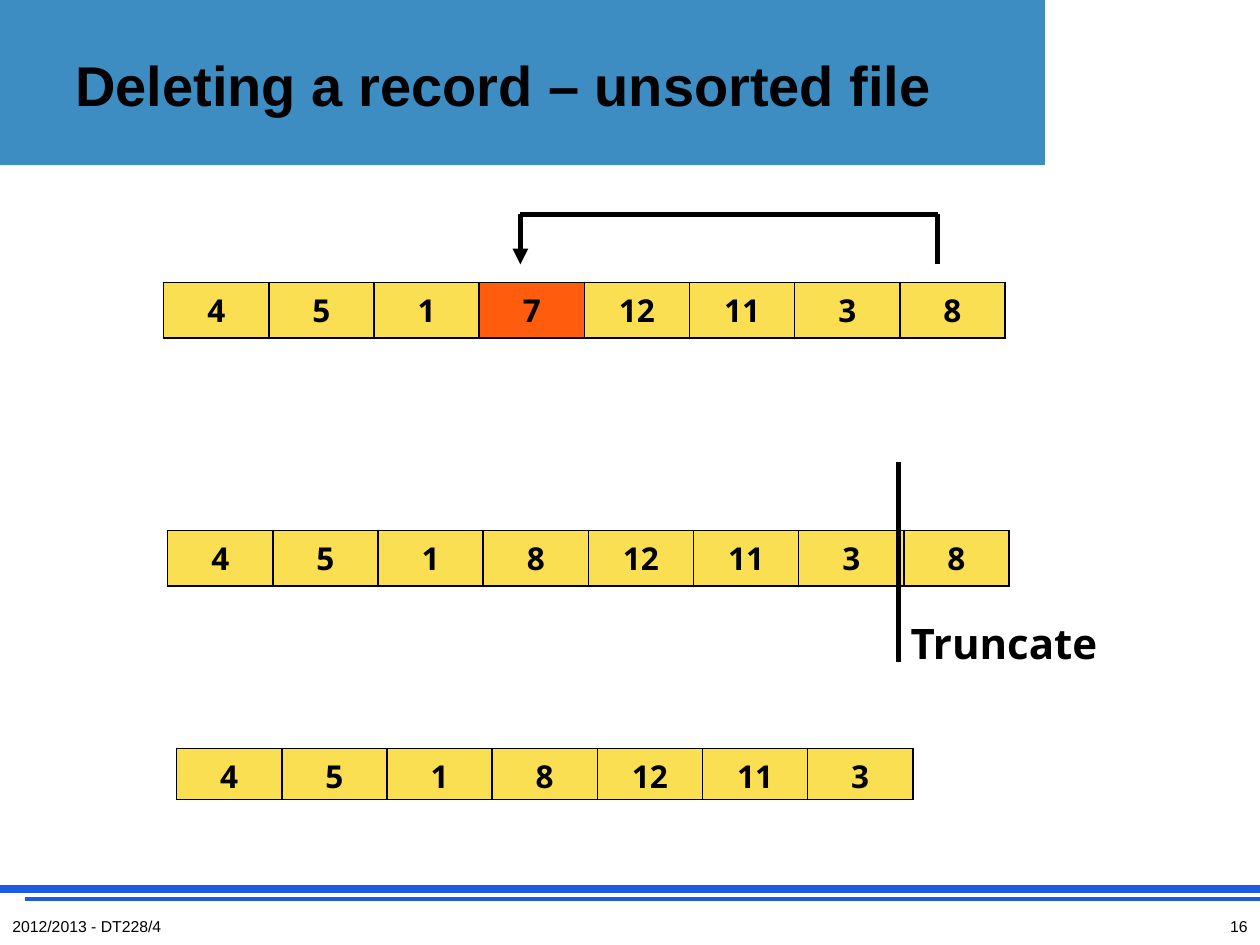
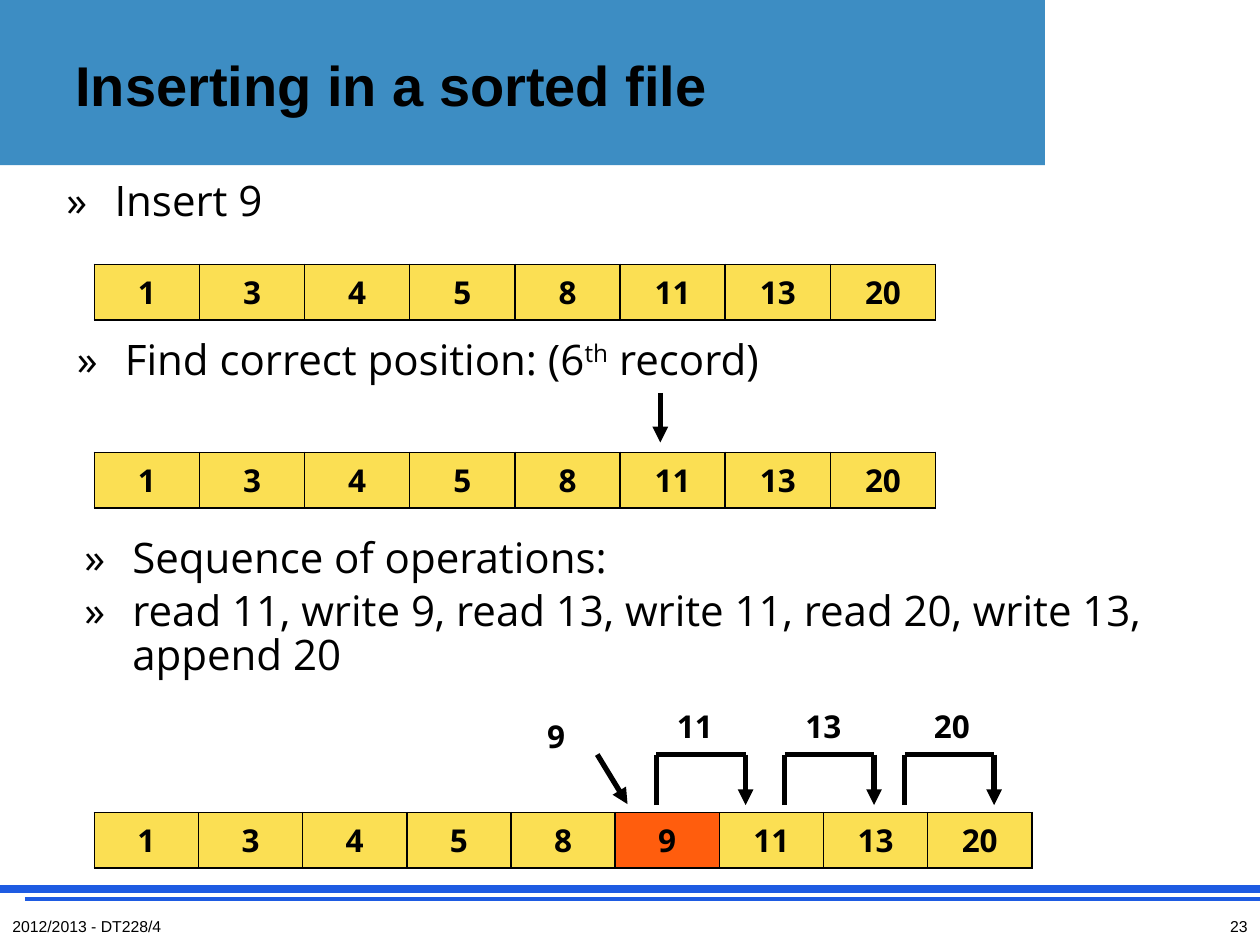
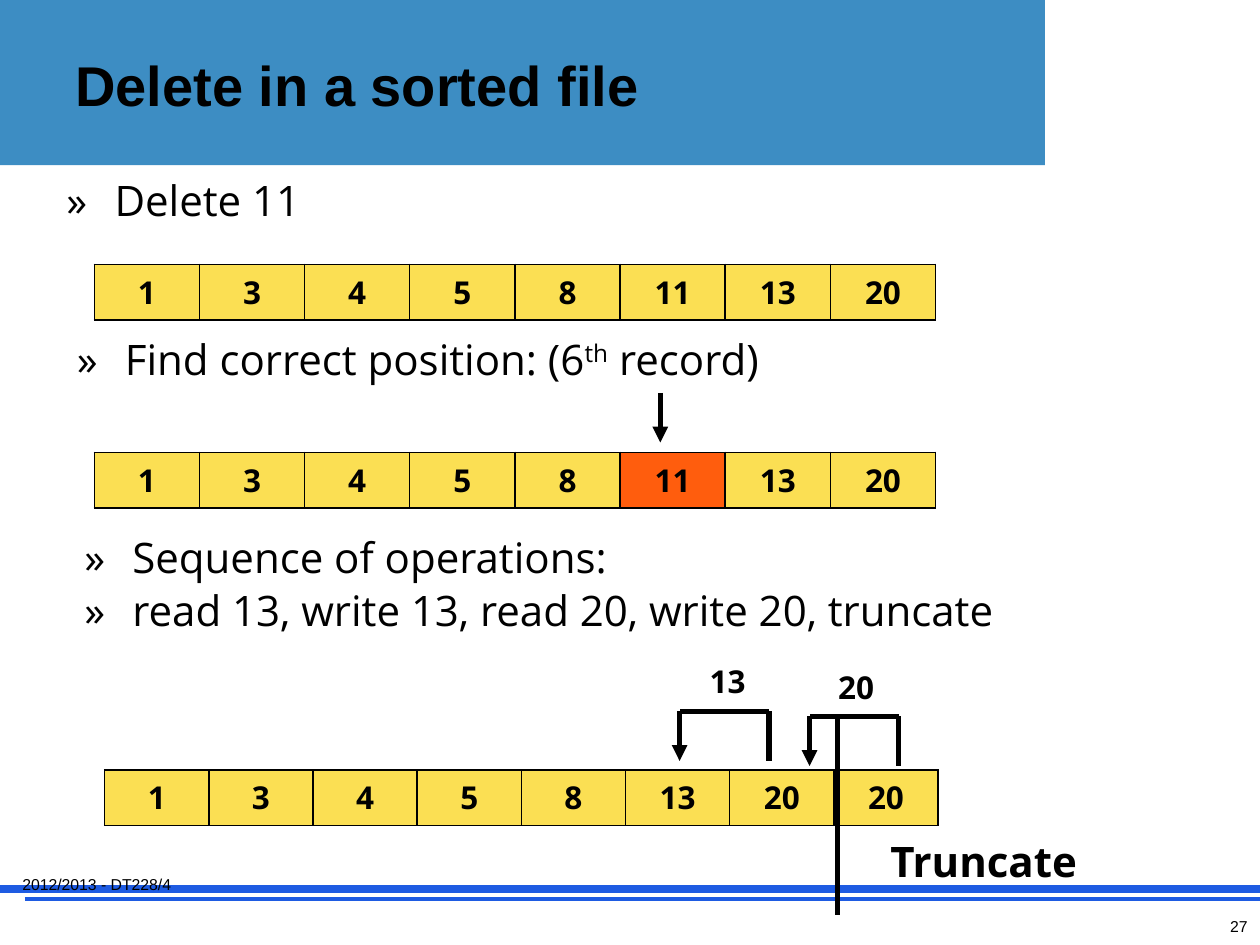
from itertools import pairwise

from lxml.etree import SubElement
from pptx import Presentation
from pptx.dml.color import RGBColor
from pptx.enum.shapes import MSO_CONNECTOR as Link, MSO_SHAPE as Shape
from pptx.enum.text import MSO_ANCHOR as Anchor, PP_ALIGN as Align
from pptx.oxml.ns import qn
from pptx.util import Cm, Pt

BLACK = RGBColor(0x00, 0x00, 0x00)
WHITE = RGBColor(0xFF, 0xFF, 0xFF)
BAND = RGBColor(0x3D, 0x8D, 0xC3)
RULE = RGBColor(0x1E, 0x5B, 0xE2)
YELLOW = RGBColor(0xFB, 0xDF, 0x53)
ORANGE = RGBColor(0xFF, 0x5D, 0x0D)

HEAD, BODY = "Arial", "Open Sans"
WIDE, HIGH = 25.4, 19.05
COURSE = "2012/2013 - DT228/4"
SORTED = [1, 3, 4, 5, 8, 11, 13, 20]
FIND = "Find correct position: (6^th^ record)"
STEPS = "Sequence of operations:"
CELL, SLIM = 2.12, 2.1      # column widths of the records
TALL, LOW = 1.12, 1.03      # row heights of the records
HOP = 1.8                   # width of one move bracket

# Lengths are in cm. A record is: left, top, column, height, values, marked index.
# A label is: left, top, words. An arrow is a list of points.
SLIDES = [
    {
        "title": "Deleting a record – unsorted file", "width": 18.62,
        "page": 16, "foot": (0, 18.36),
        "lists": [],
        "records": [
            (3.3, 5.69, CELL, TALL, [4, 5, 1, 7, 12, 11, 3, 8], 3),
            (3.38, 10.69, CELL, TALL, [4, 5, 1, 8, 12, 11, 3, 8], None),
            (3.56, 15.09, CELL, LOW, [4, 5, 1, 8, 12, 11, 3], None),
        ],
        "arrows": [[(18.9, 5.33), (18.9, 4.32), (10.49, 4.32), (10.49, 5.33)]],
        "labels": [],
        "cut": (18.11, 9.32, 13.34), "note": (18.11, 12.32),
    },
    {
        "title": "Inserting in a sorted file", "width": 17.42,
        "page": 23, "foot": (0, 18.36),
        "lists": [
            (1.09, 3.53, ["Insert 9"]),
            (1.3, 6.73, [FIND]),
            (1.45, 10.72, [STEPS, "read 11, write 9, read 13, write 11, "
                                  "read 20, write 13, append 20"]),
        ],
        "records": [
            (1.9, 5.33, CELL, TALL, SORTED, None),
            (1.9, 9.12, CELL, TALL, SORTED, None),
            (1.9, 16.38, SLIM, TALL, [1, 3, 4, 5, 8, 9, 11, 13, 20], 5),
        ],
        "arrows": [[(13.31, 7.92), (13.31, 8.92)], [(12.04, 15.21), (12.65, 16.21)]]
        + [[(x, 16.23), (x, 15.21), (x + HOP, 15.21), (x + HOP, 16.23)]
           for x in (13.23, 15.82, 18.24)],
        "labels": [(10.31, 14.33, "9"), (13.11, 14.12, "11"),
                   (15.7, 14.12, "13"), (18.29, 14.12, "20")],
    },
    {
        "title": "Delete in a sorted file", "width": 17.42,
        "page": 27, "foot": (0.2, 17.5),
        "lists": [
            (1.09, 3.53, ["Delete 11"]),
            (1.3, 6.73, [FIND]),
            (1.45, 10.72, [STEPS, "read 13, write 13, read 20, write 20, truncate"]),
        ],
        "records": [
            (1.9, 5.33, CELL, TALL, SORTED, None),
            (1.9, 9.12, CELL, TALL, SORTED, 5),
            (2.11, 15.52, SLIM, TALL, [1, 3, 4, 5, 8, 13, 20, 20], None),
        ],
        "arrows": [[(13.31, 7.92), (13.31, 8.92)]]
        + [[(x + HOP, y), (x + HOP, y - 1), (x, y - 1), (x, y)]
           for x, y in ((13.7, 15.34), (16.32, 15.44))],
        "labels": [(13.77, 13.23, "13"), (16.36, 13.34, "20")],
        "cut": (16.89, 14.45, 18.44), "note": (17.7, 16.71),
    },
]


def style(para, size, font=BODY, bold=False, align=Align.LEFT):
    para.alignment = align
    for run in para.runs:
        run.font.name, run.font.size, run.font.bold = font, Pt(size), bold
        run.font.color.rgb = BLACK


def block(slide, left, top, width, height, color):
    box = slide.shapes.add_shape(Shape.RECTANGLE, Cm(left), Cm(top), Cm(width), Cm(height))
    box.shadow.inherit = False
    box.fill.solid()
    box.fill.fore_color.rgb = color
    box.line.fill.background()
    return box


def line(slide, start, end, color=BLACK, weight=3, arrow=False):
    link = slide.shapes.add_connector(
        Link.STRAIGHT, *(Cm(n) for n in (*start, *end)))
    link.line.color.rgb, link.line.width = color, Pt(weight)
    if arrow:
        SubElement(link.line._get_or_add_ln(), qn("a:tailEnd"), type="triangle")
    SubElement(link._element.spPr, qn("a:effectLst"))


def text(slide, left, top, width, height, words, size, **look):
    frame = slide.shapes.add_textbox(Cm(left), Cm(top), Cm(width), Cm(height)).text_frame
    frame.word_wrap = True
    frame.text = words
    style(frame.paragraphs[0], size, **look)
    return frame


def bullets(slide, left, top, items):
    """Add a » list; words between ^ marks are raised."""
    frame = slide.shapes.add_textbox(Cm(left), Cm(top), Cm(23), Cm(1.6)).text_frame
    frame.word_wrap = True
    for i, item in enumerate(items):
        para = frame.add_paragraph() if i else frame.paragraphs[0]
        para.space_before, para.line_spacing = Pt(4.8), 0.88
        for j, part in enumerate(item.split("^")):
            run = para.add_run()
            run.text = part
            if j % 2:
                run._r.get_or_add_rPr().set("baseline", "30000")
        style(para, 24)
        props = para._p.get_or_add_pPr()
        props.set("marL", str(Cm(0.97)))
        props.set("indent", str(Cm(-0.97)))
        SubElement(props, qn("a:buFont"), typeface=BODY)
        SubElement(props, qn("a:buChar"), char="»")


def border(cell):
    props = cell._tc.get_or_add_tcPr()
    for i, side in enumerate(("lnL", "lnR", "lnT", "lnB")):
        edge = props.makeelement(qn("a:" + side), {"w": str(Pt(1))})
        fill = SubElement(edge, qn("a:solidFill"))
        SubElement(fill, qn("a:srgbClr"), val=str(BLACK))
        props.insert(i, edge)


def record(slide, left, top, col, height, values, mark):
    table = slide.shapes.add_table(1, len(values), Cm(left), Cm(top),
                                   Cm(col * len(values)), Cm(height)).table
    table.rows[0].height = Cm(height)
    for i, value in enumerate(values):
        table.columns[i].width = Cm(col)
        cell = table.cell(0, i)
        cell.text = str(value)
        cell.margin_bottom = 0
        style(cell.text_frame.paragraphs[0], 18, bold=True, align=Align.CENTER)
        cell.fill.solid()
        cell.fill.fore_color.rgb = ORANGE if i == mark else YELLOW
        border(cell)


def frame(slide, data):
    """Draw the band, rules, title and footer."""
    block(slide, 0, 0, WIDE, 3.33, BAND)
    line(slide, (0, 17.93), (WIDE, 17.93), RULE, 4.5)
    line(slide, (0.5, 18.13), (WIDE, 18.13), RULE, 2.25)
    patch = block(slide, 21.1, 0, 4.3, 3.53, WHITE)
    patch.line.color.rgb, patch.line.width = WHITE, Pt(2)
    title = text(slide, 1.27, 0.33, data["width"], 2.74, data["title"], 32,
                 font=HEAD, bold=True)
    title.vertical_anchor = Anchor.MIDDLE
    text(slide, *data["foot"], 5.92, 0.69, COURSE, 9, font=HEAD)
    text(slide, 19.48, 18.36, 5.92, 0.69, str(data["page"]), 9,
         font=HEAD, align=Align.RIGHT)


def build(deck, data):
    slide = deck.slides.add_slide(deck.slide_layouts[6])
    frame(slide, data)
    for item in data["lists"]:
        bullets(slide, *item)
    for item in data["records"]:
        record(slide, *item)
    for points in data["arrows"]:
        for start, end in pairwise(points):
            line(slide, start, end, arrow=end == points[-1])
    for left, top, words in data["labels"]:
        text(slide, left, top, 1.8, 1.02, words, 18, bold=True, align=Align.CENTER)
    if "cut" in data:
        x, top, foot = data["cut"]
        line(slide, (x, foot), (x, top))
        text(slide, *data["note"], 5.21, 1.27, "Truncate", 24, bold=True)


def main():
    deck = Presentation()
    deck.slide_width, deck.slide_height = Cm(WIDE), Cm(HIGH)
    for data in SLIDES:
        build(deck, data)
    deck.save("out.pptx")


if __name__ == "__main__":
    main()
